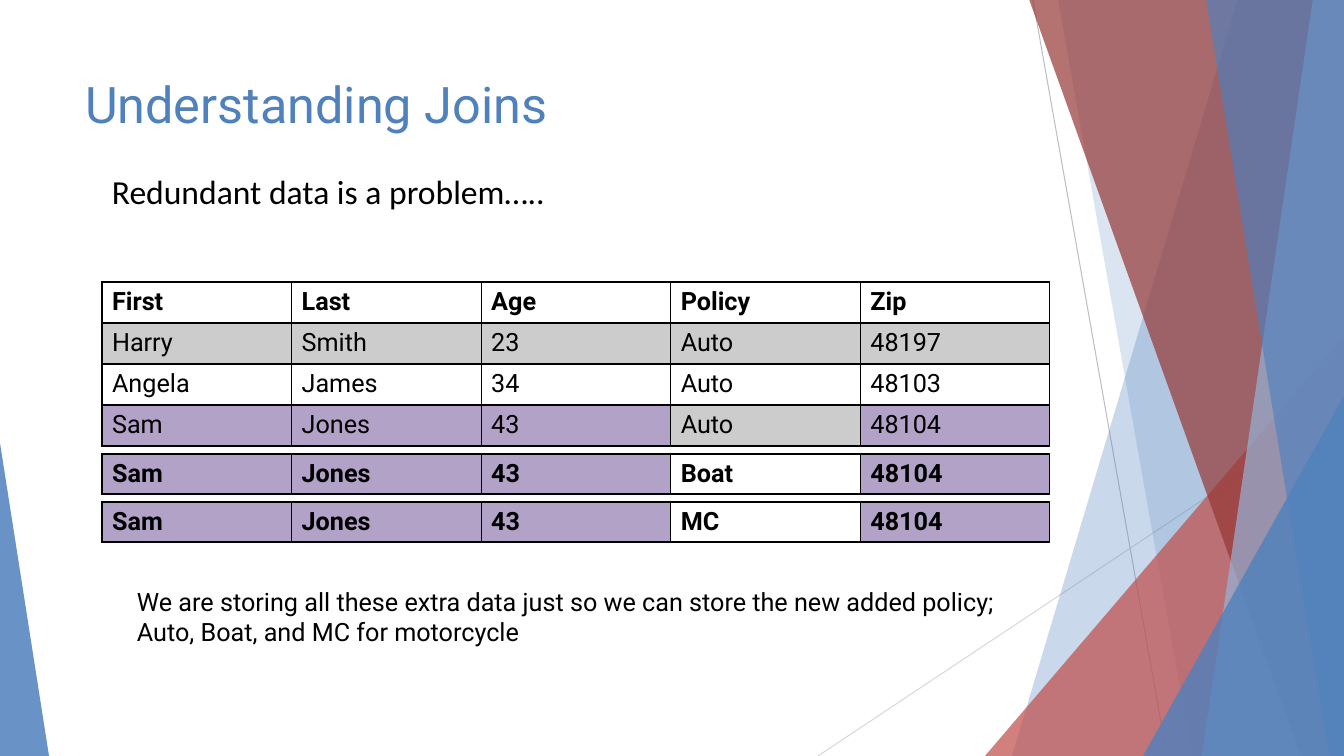
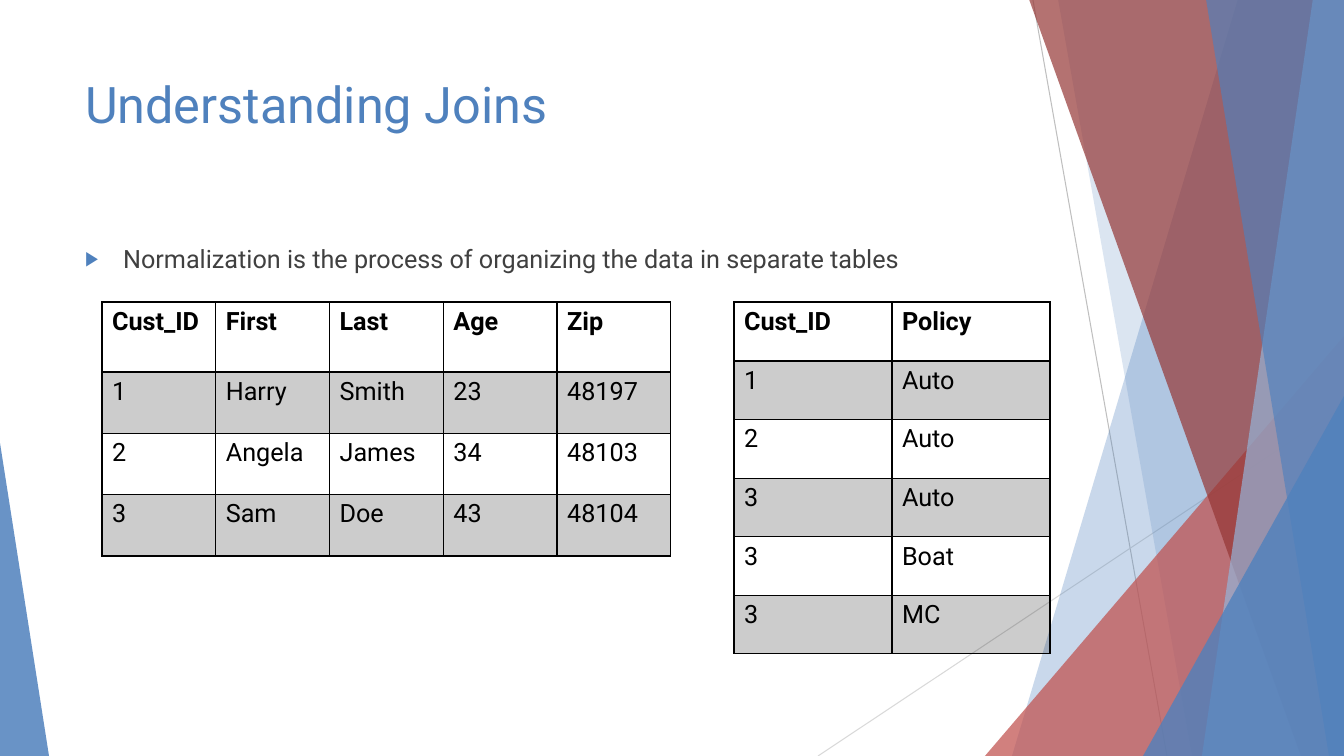
"""Build two slides that explain redundant data and normalization."""
from lxml import etree
from pptx import Presentation
from pptx import util as u
from pptx.dml.color import RGBColor
from pptx.enum import shapes, text
from pptx.oxml.ns import qn

WIDTH, HEIGHT = 1344, 756
SCALE = 12192000 / WIDTH
BLUE = RGBColor(0x4F, 0x81, 0xBD)
PALE_BLUE = RGBColor(0x95, 0xB3, 0xD7)
RED = RGBColor(0xC0, 0x50, 0x4D)
DARK_RED = RGBColor(0x95, 0x37, 0x35)
PURPLE = RGBColor(0xB3, 0xA2, 0xC7)
BLACK = RGBColor(0x00, 0x00, 0x00)
CHARCOAL = RGBColor(0x40, 0x40, 0x40)
GREY = RGBColor(0xBF, 0xBF, 0xBF)
LIGHT_GREY = RGBColor(0xD9, 0xD9, 0xD9)


def px(*values):
    """Turn pixels into EMU."""
    return [u.Emu(round(v * SCALE)) for v in values]


def add(parent, tag, **attrs):
    """Append a drawing element with attributes."""
    return etree.SubElement(parent, qn(tag), {k: str(v) for k, v in attrs.items()})


def tint(obj, element, color, opacity):
    """Fill an object with a partly transparent colour."""
    obj.fill.solid()
    obj.fill.fore_color.rgb = color
    if opacity < 100:
        add(element.find(".//" + qn("a:srgbClr")), "a:alpha", val=opacity * 1000)


class Deck:
    """Hold the shared style and the current slide."""

    def __init__(self):
        """Set up an empty widescreen presentation."""
        self.prs = Presentation()
        self.prs.slide_width, self.prs.slide_height = px(WIDTH, HEIGHT)
        self.slide = self.group = None

    def new_slide(self, layout, title):
        """Start a slide with its title."""
        self.slide = self.prs.slides.add_slide(self.prs.slide_layouts[layout])
        if self.group is None:
            self.decorate()
        self.placeholder(self.slide.shapes.title, (75, 68, 948, 145), title, 36, BLUE)

    def decorate(self):
        """Put the ribbons on the slide master."""
        self.group = self.slide.shapes.add_group_shape()
        self.line(1033, 0, 1167, HEIGHT, GREY)
        self.line(WIDTH, 406, 818, HEIGHT, LIGHT_GREY)
        self.ribbon(1238, 1012, BLUE, 30)
        self.ribbon(1058, 1192, BLUE, 20)
        self.triangle(985, 336, 359, 1, RED, 72)
        self.ribbon(1029, 1301, DARK_RED, 70)
        self.ribbon(1313, 1202, PALE_BLUE, 70)
        self.ribbon(1206, 1329, BLUE, 65)
        self.triangle(1143, 396, 201, 1, BLUE, 80)
        self.triangle(0, 443, 49, 0, BLUE, 85)
        self.prs.slide_master.shapes.element.insert(2, self.group.element)

    def line(self, x1, y1, x2, y2, color):
        """Draw a thin line."""
        sp = self.group.shapes.add_connector(
            shapes.MSO_CONNECTOR.STRAIGHT, *px(x1, y1, x2, y2))
        sp.line.color.rgb = color
        sp.line.width = u.Pt(0.75)
        add(sp.element.spPr, "a:effectLst")

    def flat(self, sp, color, opacity):
        """Give a shape a plain fill."""
        sp.shadow.inherit = False
        sp.line.fill.background()
        tint(sp, sp.element.spPr, color, opacity)

    def ribbon(self, top, bottom, color, opacity):
        """Draw a slanted band that reaches the right edge."""
        outline = self.group.shapes.build_freeform(top, -1, scale=SCALE)
        outline.add_line_segments([(WIDTH, -1), (WIDTH, HEIGHT), (bottom, HEIGHT)])
        self.flat(outline.convert_to_shape(), color, opacity)

    def triangle(self, x, y, w, tip, color, opacity):
        """Draw a triangle that stands on the bottom edge."""
        sp = self.group.shapes.add_shape(
            shapes.MSO_SHAPE.ISOSCELES_TRIANGLE, *px(x, y, w, HEIGHT - y))
        sp.adjustments[0] = tip
        self.flat(sp, color, opacity)

    def set_text(self, tf, content, size, color, font="Roboto", bold=False):
        """Set text and format its runs."""
        tf.text = content
        for p in tf.paragraphs:
            p.alignment = text.PP_ALIGN.LEFT
            for r in p.runs:
                r.font.name, r.font.size = font, u.Pt(size)
                r.font.bold, r.font.color.rgb = bold, color

    def placeholder(self, sp, box, content, size, color):
        """Move and fill a placeholder."""
        sp.left, sp.top, sp.width, sp.height = px(*box)
        tf = sp.text_frame
        tf.auto_size = text.MSO_AUTO_SIZE.NONE
        tf.vertical_anchor = text.MSO_ANCHOR.TOP
        self.set_text(tf, content, size, color)

    def bullets(self, box, content):
        """Fill the body placeholder with a bulleted list."""
        sp = self.slide.placeholders[1]
        self.placeholder(sp, box, content, 18, CHARCOAL)
        indent = px(38)[0]
        for p in sp.text_frame.paragraphs:
            p.space_before = u.Pt(10)
            pr = p._p.get_or_add_pPr()
            pr.set("marL", str(indent))
            pr.set("indent", str(-indent))
            add(add(pr, "a:buClr"), "a:srgbClr", val=BLUE)
            add(pr, "a:buSzPct", val=80000)
            add(pr, "a:buChar", char="▶")

    def label(self, box, content, size, font="Roboto"):
        """Add a free text box."""
        tf = self.slide.shapes.add_textbox(*px(*box)).text_frame
        tf.word_wrap = False
        tf.auto_size = text.MSO_AUTO_SIZE.SHAPE_TO_FIT_TEXT
        self.set_text(tf, content, size, BLACK, font)

    def table(self, box, rows, header=None, marked=None):
        """Add a banded table, with one row marked outside its Policy column."""
        frame = self.slide.shapes.add_table(len(rows), len(rows[0]), *px(*box))
        tbl = frame.table
        tbl.first_row = tbl.horz_banding = False
        if header:
            body = (box[3] - header) / (len(rows) - 1)
            for i, row in enumerate(tbl.rows):
                row.height = px(body if i else header)[0]
        for i, row in enumerate(rows):
            for j, value in enumerate(row):
                cell = tbl.cell(i, j)
                self.set_text(cell.text_frame, value, 18, BLACK, bold=i == 0)
                pr = cell._tc.get_or_add_tcPr()
                if i == marked and j != 3:
                    tint(cell, pr, PURPLE, 100)
                elif i % 2:
                    tint(cell, pr, BLACK, 20)
                else:
                    cell.fill.background()
                self.borders(pr, 2 if header and i == 0 else 1)

    def borders(self, pr, bottom):
        """Draw the four black borders of a cell."""
        for i, (side, width) in enumerate(zip("LRTB", (1, 1, 1, bottom))):
            ln = add(pr, "a:ln" + side, w=u.Pt(width))
            add(add(ln, "a:solidFill"), "a:srgbClr", val=BLACK)
            pr.insert(i, ln)


deck = Deck()

deck.new_slide(5, "Understanding Joins")
deck.table((102, 282, 948, 164), [
    ("First", "Last", "Age", "Policy", "Zip"),
    ("Harry", "Smith", "23", "Auto", "48197"),
    ("Angela", "James", "34", "Auto", "48103"),
    ("Sam", "Jones", "43", "Auto", "48104"),
], marked=3)
for top, policy in ((454, "Boat"), (502, "MC")):
    deck.table((102, top, 948, 40), [("Sam", "Jones", "43", policy, "48104")], marked=0)
deck.label((127, 581, 922, 72),
           "We are storing all these extra data just so we can store the new added policy;\n"
           "Auto, Boat, and MC for motorcycle", 18)
deck.label((102, 166, 458, 50), "Redundant data is a problem…..", 24, "Calibri")

deck.new_slide(1, "Understanding Joins")
deck.bullets((75, 238, 948, 427),
             "Normalization is the process of organizing the data in separate tables")
deck.table((102, 302, 569, 254), [
    ("Cust_ID", "First", "Last", "Age", "Zip"),
    ("1", "Harry", "Smith", "23", "48197"),
    ("2", "Angela", "James", "34", "48103"),
    ("3", "Sam", "Doe", "43", "48104"),
], header=70)
deck.table((734, 302, 316, 352), [
    ("Cust_ID", "Policy"),
    ("1", "Auto"),
    ("2", "Auto"),
    ("3", "Auto"),
    ("3", "Boat"),
    ("3", "MC"),
], header=59)

deck.prs.save("out.pptx")
